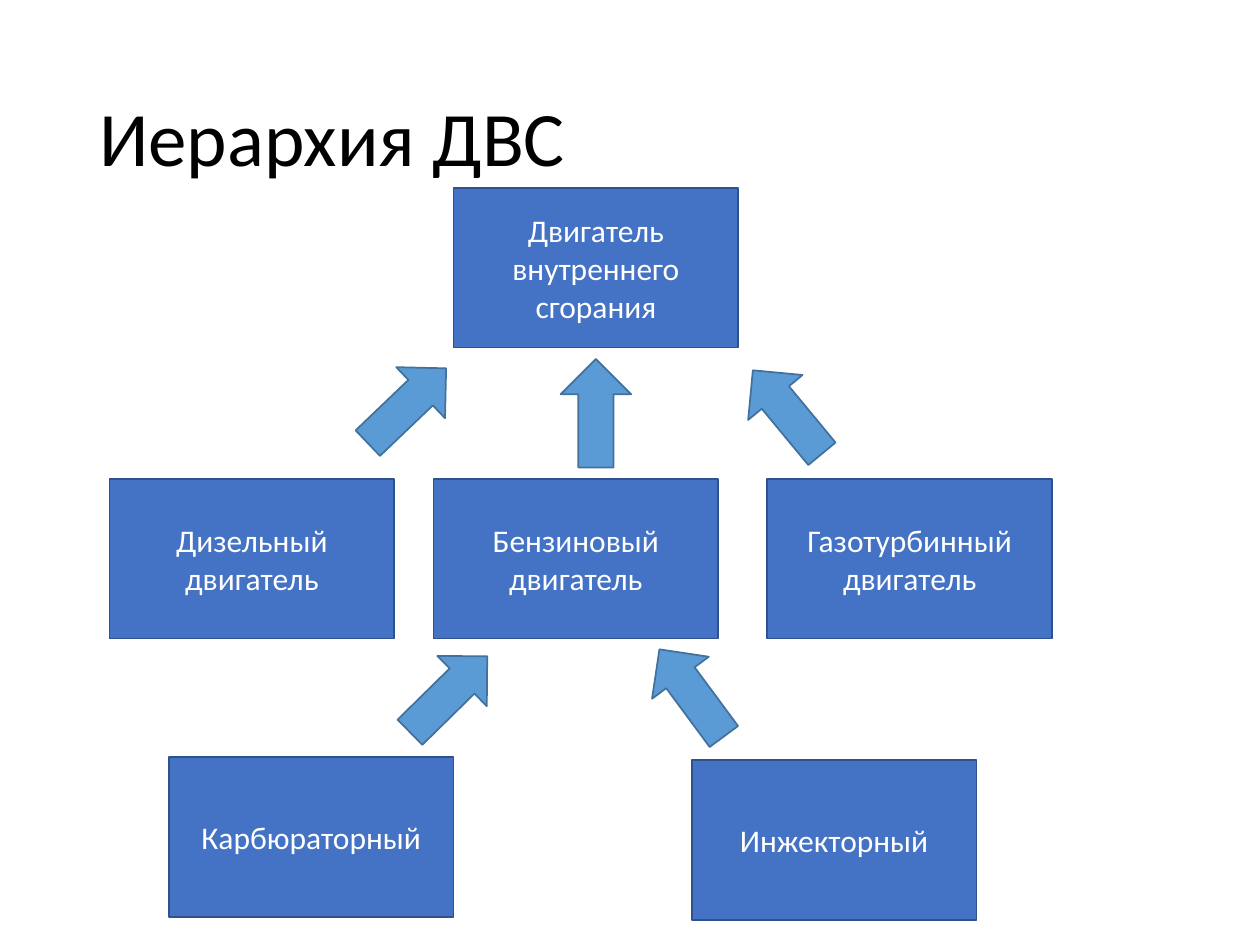
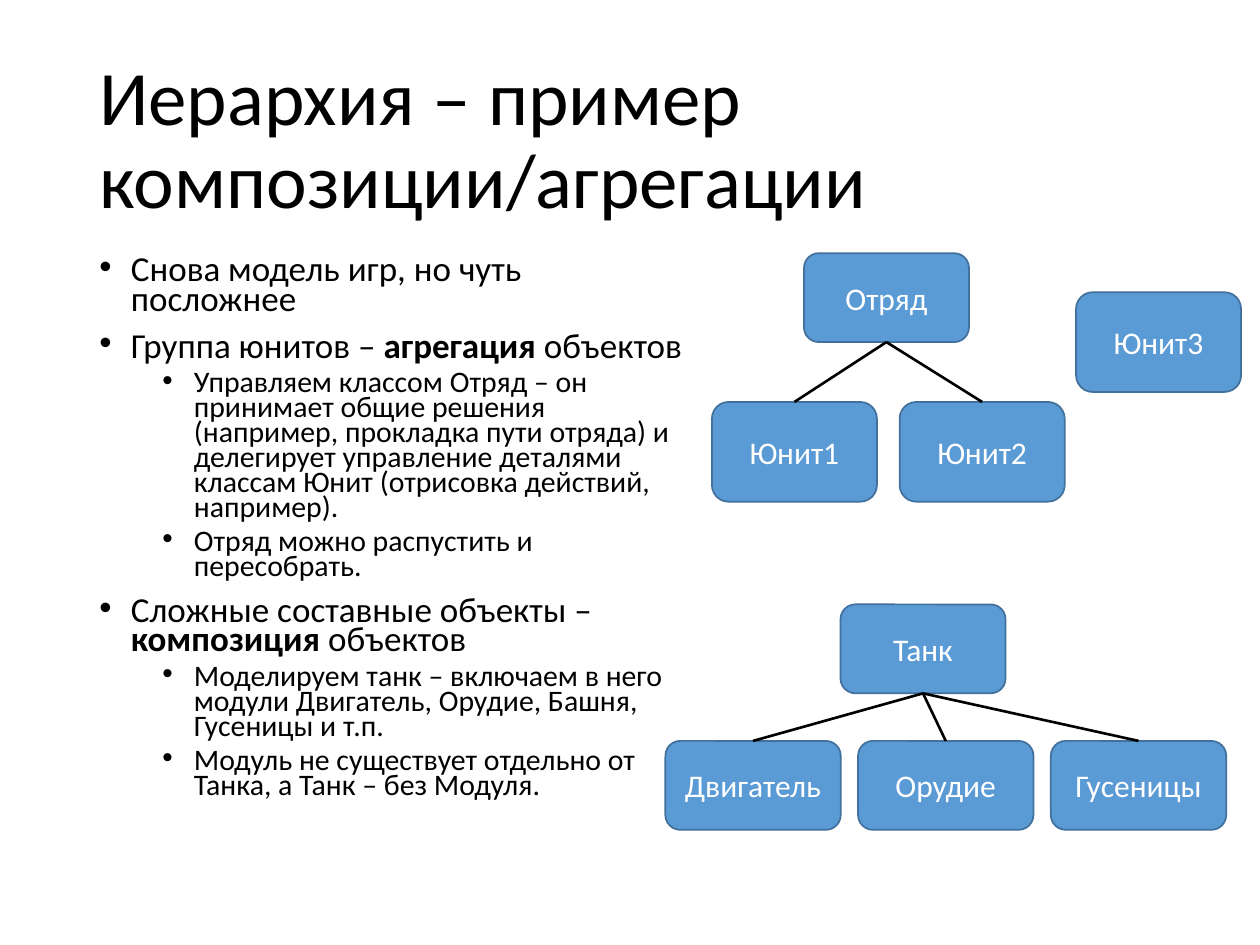
from dataclasses import dataclass

import lxml.etree
import pptx
import pptx.dml.color
import pptx.enum.shapes
import pptx.enum.text
import pptx.oxml.ns
import pptx.util

Pt = pptx.util.Pt
Color = pptx.dml.color.RGBColor.from_string
Shape = pptx.enum.shapes.MSO_SHAPE
Align = pptx.enum.text.PP_ALIGN
Anchor = pptx.enum.text.MSO_ANCHOR
qn = pptx.oxml.ns.qn


@dataclass(frozen=True)
class Theme:
    font: str = "Calibri"
    text: str = "000000"
    light: str = "FFFFFF"
    node: tuple = ("4472C4", "2F528F")
    accent: tuple = ("5B9BD5", "41719C")
    title_size: float = 44
    node_size: float = 18
    bullet_sizes: tuple = (20, 17)
    outline: float = 1
    link: float = 1.5


THEME = Theme()
TITLE_BOX = (49.7, 28.8, 621.4, 104.4)

ENGINE_BOX = (62.6, 107.3, 538.6, 418.3)
ENGINE_SIZE = (162.7, 91.4)
ENGINES = [
    (196.6, 0, ["Двигатель", "внутреннего сгорания"]),
    (0, 166.3, ["Дизельный двигатель"]),
    (185.1, 166.3, ["Бензиновый двигатель"]),
    (375.9, 166.3, ["Газотурбинный двигатель"]),
    (33.9, 325.4, ["Карбюраторный"]),
    (332.7, 326.9, ["Инжекторный"]),
]
ARROW_SIZE = (40.3, 61.9)
ARROWS = [
    (149.8, 93.6, 46.3),
    (257.8, 97.9, 0),
    (367.2, 97.2, 320.4),
    (173.6, 258.5, 45.5),
    (312.5, 257.7, 323.5),
]

BULLET_BOX = (49.7, 144, 349.2, 342.7)
BULLETS = [
    (0, ["Снова модель игр, но чуть посложнее"]),
    (0, ["Группа юнитов – ", "агрегация", " объектов"]),
    (1, ["Управляем классом Отряд – он принимает общие решения "
         "(например, прокладка пути отряда) и делегирует управление деталями "
         "классам Юнит (отрисовка действий, например)."]),
    (1, ["Отряд можно распустить и пересобрать."]),
    (0, ["Сложные составные объекты – ", "композиция", " объектов"]),
    (1, ["Моделируем танк – включаем в него модули Двигатель, Орудие, "
         "Башня, Гусеницы и т.п."]),
    (1, ["Модуль не существует отдельно от Танка, а Танк – без Модуля."]),
]
SQUAD_BOX = (406.8, 144.7, 302.4, 142)
TANK_BOX = (380.2, 345.4, 320.5, 128.3)
PARENT_SIZE = (94.3, 50.8)
UNIT_SIZE = (94.3, 57)
MODULE_SIZE = (100.2, 50.8)


def apply(target, values):
    for name, value in values.items():
        setattr(target, name, value)


def add_span(para, text, size, color, bold=False):
    span = para.add_run()
    span.text = text
    apply(span.font, {"name": THEME.font, "size": Pt(size), "bold": bold})
    span.font.color.rgb = Color(color)


def add_text_box(page, box, anchor):
    frame = page.shapes.add_textbox(*map(Pt, box)).text_frame
    apply(frame, {"word_wrap": True, "vertical_anchor": anchor})
    return frame


def add_figure(page, kind, box, colors):
    figure = page.shapes.add_shape(kind, *map(Pt, box))
    figure.shadow.inherit = False
    figure.fill.solid()
    figure.fill.fore_color.rgb = Color(colors[0])
    figure.line.color.rgb = Color(colors[1])
    figure.line.width = Pt(THEME.outline)
    return figure


def add_node(page, kind, box, colors, lines):
    node = add_figure(page, kind, box, colors)
    frame = node.text_frame
    apply(frame, {"word_wrap": True, "vertical_anchor": Anchor.MIDDLE})
    for index, line in enumerate(lines):
        para = frame.add_paragraph() if index else frame.paragraphs[0]
        para.alignment = Align.CENTER
        add_span(para, line, THEME.node_size, THEME.light)
    return node


def link_nodes(page, parent, child):
    line = page.shapes.add_connector(
        pptx.enum.shapes.MSO_CONNECTOR.STRAIGHT, 0, 0, 0, 0)
    line.begin_connect(child, 0)
    line.end_connect(parent, 2)
    line.line.color.rgb = Color(THEME.text)
    line.line.width = Pt(THEME.link)
    lxml.etree.SubElement(line._element.spPr, qn("a:effectLst"))


def add_title(page, text, box=TITLE_BOX):
    para = add_text_box(page, box, Anchor.MIDDLE).paragraphs[0]
    para.line_spacing = 0.9
    add_span(para, text, THEME.title_size, THEME.text)


def add_engine_hierarchy(page, box):
    left, top = box[:2]
    for x, y, lines in ENGINES:
        add_node(page, Shape.RECTANGLE, (left + x, top + y, *ENGINE_SIZE),
                 THEME.node, lines)
    for x, y, angle in ARROWS:
        arrow = add_figure(page, Shape.UP_ARROW,
                           (left + x, top + y, *ARROW_SIZE), THEME.accent)
        arrow.rotation = angle


def add_bullets(page, box):
    frame = add_text_box(page, box, Anchor.TOP)
    for index, (level, spans) in enumerate(BULLETS):
        para = frame.add_paragraph() if index else frame.paragraphs[0]
        apply(para, {"level": level, "line_spacing": 0.7,
                     "space_before": Pt(5 if level else 10)})
        properties = para._p.get_or_add_pPr()
        properties.set("marL", str(Pt(18 + 36 * level)))
        properties.set("indent", str(Pt(-18)))
        color = lxml.etree.SubElement(properties, qn("a:buClr"))
        lxml.etree.SubElement(color, qn("a:srgbClr"), val=THEME.text)
        lxml.etree.SubElement(properties, qn("a:buFont"), typeface="Arial")
        lxml.etree.SubElement(properties, qn("a:buChar"), char="•")
        for position, text in enumerate(spans):
            add_span(para, text, THEME.bullet_sizes[level], THEME.text,
                     bold=position == 1)


def add_rounded(page, box, x, y, size, text):
    return add_node(page, Shape.ROUNDED_RECTANGLE,
                    (box[0] + x, box[1] + y, *size), THEME.accent, [text])


def add_squad(page, box):
    squad = add_rounded(page, box, 52.6, 0, PARENT_SIZE, "Отряд")
    members = [add_rounded(page, box, 107.3 * index, 85, UNIT_SIZE, name)
               for index, name in enumerate(["Юнит1", "Юнит2"])]
    add_rounded(page, box, 208.1, 22.3, UNIT_SIZE, "Юнит3")
    for member in members:
        link_nodes(page, squad, member)


def add_tank(page, box):
    tank = add_rounded(page, box, 100.1, 0, PARENT_SIZE, "Танк")
    gap = (box[2] - MODULE_SIZE[0]) / 2
    modules = [add_rounded(page, box, gap * index, 78, MODULE_SIZE, name)
               for index, name in enumerate(["Двигатель", "Орудие", "Гусеницы"])]
    for module in modules:
        link_nodes(page, tank, module)


def build_engine_page(page):
    add_title(page, "Иерархия ДВС")
    add_engine_hierarchy(page, ENGINE_BOX)


def build_composition_page(page):
    add_title(page, "Иерархия – пример композиции/агрегации")
    add_bullets(page, BULLET_BOX)
    add_squad(page, SQUAD_BOX)
    add_tank(page, TANK_BOX)


def main():
    deck = pptx.Presentation()
    apply(deck, {"slide_width": Pt(720), "slide_height": Pt(540)})
    for build in (build_engine_page, build_composition_page):
        build(deck.slides.add_slide(deck.slide_layouts[6]))
    deck.save("out.pptx")


if __name__ == "__main__":
    main()
